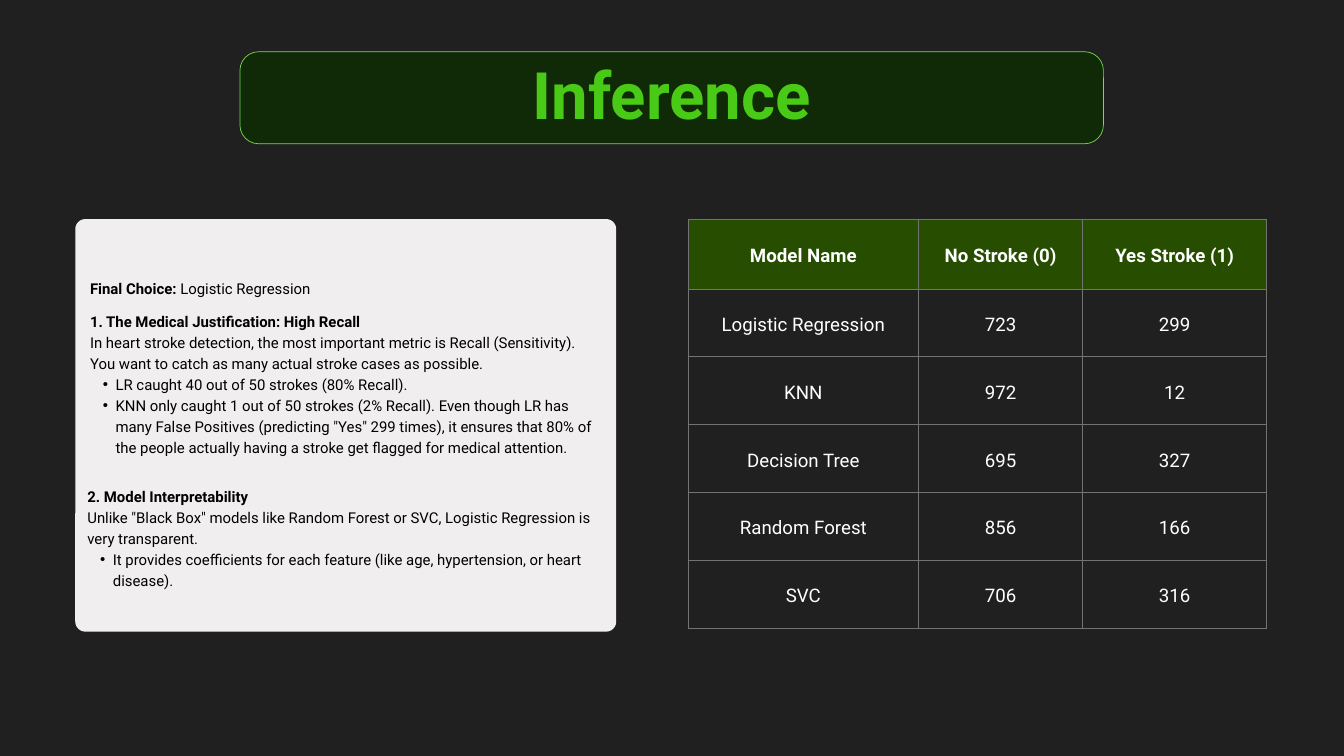
from lxml.etree import SubElement
from pptx import Presentation
from pptx.dml.color import RGBColor
from pptx.enum.shapes import MSO_SHAPE
from pptx.enum.text import MSO_ANCHOR, MSO_AUTO_SIZE, PP_ALIGN
from pptx.oxml import parse_xml
from pptx.oxml.ns import nsdecls, qn
from pptx.util import Inches, Pt

TITLE = "Inference"
CHOICE = [("plain", [("Final Choice:", True), (" Logistic Regression", False)])]
RECALL = [
    ("plain", [("1. The Medical Justification: High Recall", True)]),
    ("plain", [("In heart stroke detection, the most important metric is Recall (Sensitivity). "
                "You want to catch as many actual stroke cases as possible.", False)]),
    ("bullet", [("LR caught 40 out of 50 strokes (80% Recall).", False)]),
    ("bullet", [("KNN only caught 1 out of 50 strokes (2% Recall). Even though LR has many "
                 "False Positives (predicting \"Yes\" 299 times), it ensures that 80% of the people "
                 "actually having a stroke get flagged for medical attention.", False)]),
]
CLARITY = [
    ("plain", [("2. Model Interpretability", True)]),
    ("plain", [("Unlike \"Black Box\" models like Random Forest or SVC, "
                "Logistic Regression is very transparent.", False)]),
    ("bullet", [("It provides coefficients for each feature "
                 "(like age, hypertension, or heart disease).", False)]),
]
ROWS = [
    ("Model Name", "No Stroke (0)", "Yes Stroke (1)"),
    ("Logistic Regression", "723", "299"),
    ("KNN", "972", "12"),
    ("Decision Tree", "695", "327"),
    ("Random Forest", "856", "166"),
    ("SVC", "706", "316"),
]
WIDTHS = (3.43, 2.44, 2.74)
HEAD, BODY = 1.04, 1.01


def color(code):
    return RGBColor.from_string(code)


def write(para, runs, size, code, lead, align=PP_ALIGN.LEFT):
    para.alignment = align
    para.line_spacing = Pt(lead)
    para.space_before = para.space_after = Pt(0)
    for text, bold in runs:
        run = para.add_run()
        run.text = text
        font = run.font
        font.name, font.size, font.bold = "Roboto", Pt(size), bold
        font.color.rgb = color(code)


def place(shape, box):
    shape.left, shape.top, shape.width, shape.height = map(Inches, box)
    frame = shape.text_frame
    frame.word_wrap = True
    frame.auto_size = MSO_AUTO_SIZE.NONE
    frame.vertical_anchor = MSO_ANCHOR.TOP
    frame.margin_left = frame.margin_right = frame.margin_top = frame.margin_bottom = 0
    return frame


def prose(shape, box, paras):
    frame = place(shape, box)
    for i, (kind, runs) in enumerate(paras):
        para = frame.add_paragraph() if i else frame.paragraphs[0]
        write(para, runs, 16, "000000", 22.4)
        mark = kind == "bullet"
        para.level = int(mark)
        props = para._p.get_or_add_pPr()
        props.set("marL", str(Inches(0.38 if mark else 0)))
        props.set("indent", str(Inches(-0.19 if mark else 0)))
        if mark:
            SubElement(props, qn("a:buChar"), char="•")
        else:
            SubElement(props, qn("a:buNone"))


def panel(slide, box, radius, fill, line=None):
    shape = slide.shapes.add_shape(MSO_SHAPE.ROUNDED_RECTANGLE, *map(Inches, box))
    shape.adjustments[0] = radius / min(box[2:])
    shape.shadow.inherit = False
    shape.fill.solid()
    shape.fill.fore_color.rgb = color(fill)
    if line:
        shape.line.color.rgb = color(line)
        shape.line.width = Pt(0.75)
    else:
        shape.line.fill.background()
    slide.shapes._spTree.insert(2, shape._element)


def border(cell, code):
    props = cell._tc.get_or_add_tcPr()
    for i, side in enumerate("LRTB"):
        props.insert(i, parse_xml(
            f'<a:ln{side} {nsdecls("a")} w="{Pt(0.75)}"><a:solidFill>'
            f'<a:srgbClr val="{code}"/></a:solidFill></a:ln{side}>'))


def grid(slide, left, top):
    high = HEAD + BODY * (len(ROWS) - 1)
    table = slide.shapes.add_table(len(ROWS), len(WIDTHS), *map(
        Inches, (left, top, sum(WIDTHS), high))).table
    for col, wide in zip(table.columns, WIDTHS):
        col.width = Inches(wide)
    for r, row in enumerate(ROWS):
        table.rows[r].height = Inches(BODY if r else HEAD)
        for c, text in enumerate(row):
            cell = table.cell(r, c)
            cell.vertical_anchor = MSO_ANCHOR.MIDDLE
            cell.margin_left = cell.margin_right = Inches(0.21)
            cell.margin_top = cell.margin_bottom = Inches(0.21)
            if r:
                cell.fill.background()
            else:
                cell.fill.solid()
                cell.fill.fore_color.rgb = color("264D00")
            border(cell, "737373")
            write(cell.text_frame.paragraphs[0], [(text, r == 0)],
                  20, "FFFFFF", 28, PP_ALIGN.CENTER)


def main():
    """Build the inference slide and save it."""
    deck = Presentation()
    deck.slide_width, deck.slide_height = Inches(20), Inches(11.25)
    slide = deck.slides.add_slide(deck.slide_layouts[3])
    slide.background.fill.solid()
    slide.background.fill.fore_color.rgb = color("202020")
    panel(slide, (3.57, 0.77, 12.85, 1.37), 0.28, "102906", "7ED957")
    panel(slide, (1.12, 3.26, 8.05, 6.14), 0.15, "F1EEEF")
    title, first, second = slide.placeholders
    frame = place(title, (3.88, 0.61, 12.23, 1.42))
    write(frame.paragraphs[0], [(TITLE, True)], 70, "49CA16", 98, PP_ALIGN.CENTER)
    box = (1.34, 4.11, 7.67, 0.32)
    prose(slide.shapes.add_textbox(*map(Inches, box)), box, CHOICE)
    prose(first, (1.34, 4.61, 7.5, 2.41), RECALL)
    prose(second, (1.3, 7.21, 7.69, 1.51), CLARITY)
    grid(slide, 10.24, 3.26)
    deck.save("out.pptx")


if __name__ == "__main__":
    main()
